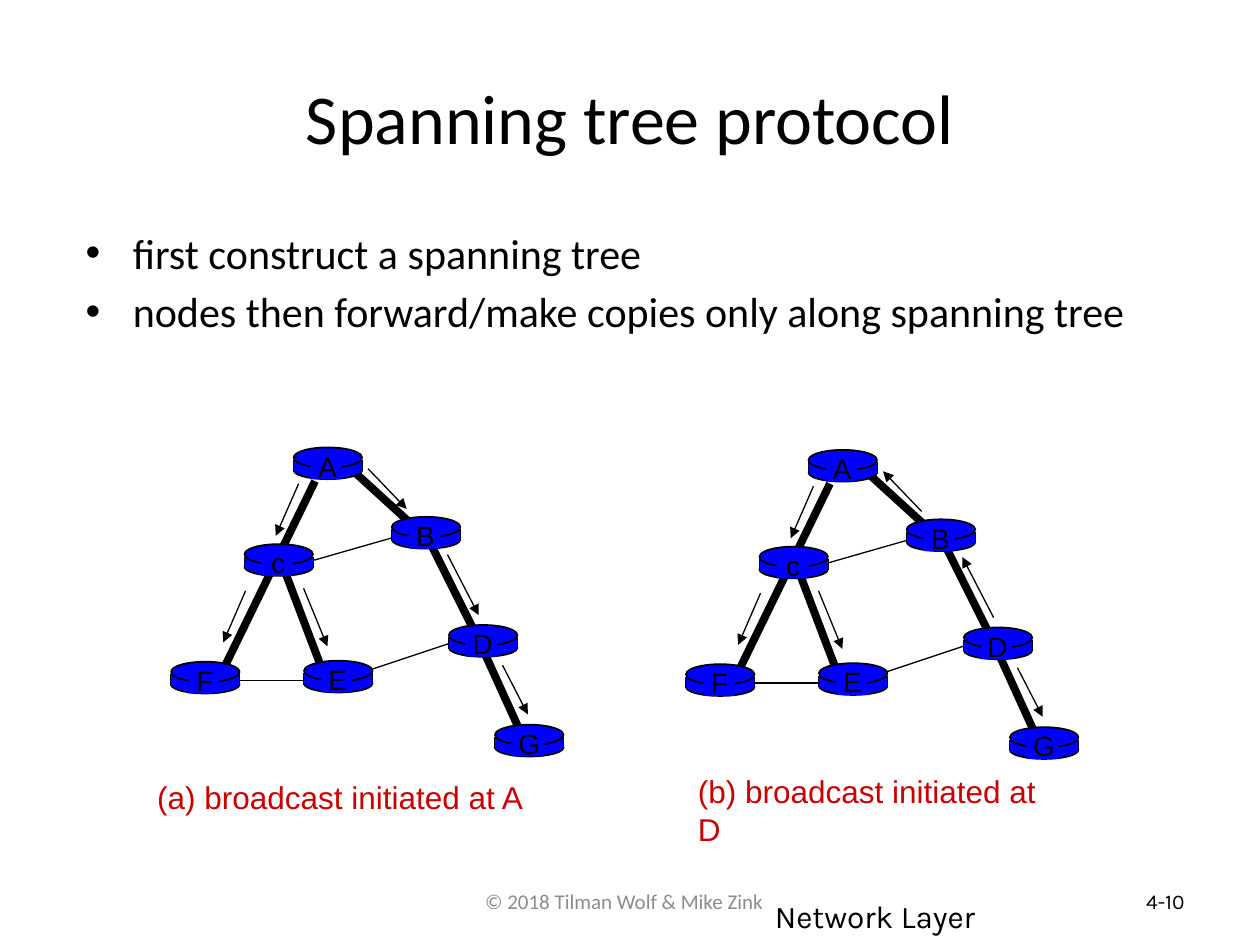
from dataclasses import dataclass

from lxml import etree
from pptx import Presentation
from pptx.dml.color import RGBColor
from pptx.enum.shapes import MSO_CONNECTOR, MSO_SHAPE
from pptx.enum.text import MSO_ANCHOR, PP_ALIGN
from pptx.oxml.ns import qn
from pptx.util import Cm, Pt

LEFT, CENTER, RIGHT = PP_ALIGN.LEFT, PP_ALIGN.CENTER, PP_ALIGN.RIGHT
TOP, MIDDLE = MSO_ANCHOR.TOP, MSO_ANCHOR.MIDDLE
OVAL, RECT = MSO_SHAPE.OVAL, MSO_SHAPE.RECTANGLE
STRAIGHT = MSO_CONNECTOR.STRAIGHT

BLACK, BLUE, RED, GRAY = "000000", "0000FF", "CC0000", "8C8C8C"
TREE_WIDTH, THIN_WIDTH, OUTLINE_WIDTH = 4.5, 0.75, 1
ROUTER_WIDTH = 1.38


# All positions below are in centimetres.
@dataclass(frozen=True)
class Router:
    name: str
    x: float
    y: float


@dataclass(frozen=True)
class Link:
    x1: float
    y1: float
    x2: float
    y2: float
    in_tree: bool = True


@dataclass(frozen=True)
class Message:
    hop: str
    x1: float
    y1: float
    x2: float
    y2: float


@dataclass(frozen=True)
class Broadcast:
    caption: str
    caption_x: float
    caption_y: float
    dx: float = 0
    dy: float = 0
    reversed_hops: tuple[str, ...] = ()


ROUTERS = [
    Router("A", 5.92, 9.02),
    Router("B", 7.9, 10.42),
    Router("G", 9.98, 14.61),
    Router("D", 9.05, 12.6),
    Router("E", 6.13, 13.32),
    Router("c", 4.93, 10.97),
    Router("F", 3.45, 13.34),
]
LINKS = [
    Link(8.61, 10.82, 9.55, 12.7),
    Link(9.58, 12.75, 10.54, 14.86),
    Link(9.12, 12.95, 7.44, 13.51, in_tree=False),
    Link(6.55, 13.72, 4.5, 13.72, in_tree=False),
    Link(6.48, 13.46, 5.72, 11.46),
    Link(6.2, 11.33, 8.05, 10.8, in_tree=False),
    Link(7.16, 9.53, 8.41, 10.67),
    Link(6.35, 9.7, 4.47, 13.56),
]
MESSAGES = [
    Message("A-c", 6.02, 9.75, 5.56, 10.8),
    Message("c-F", 4.95, 11.91, 4.5, 12.95),
    Message("A-B", 7.42, 9.45, 8.2, 10.26),
    Message("B-D", 9.02, 11.18, 9.65, 12.4),
    Message("D-G", 10.13, 13.41, 10.64, 14.4),
    Message("c-E", 6.12, 11.86, 6.6, 13.03),
]
BROADCASTS = [
    Broadcast("(a) broadcast initiated at A", 2.92, 15.55),
    Broadcast("(b) broadcast initiated at D", 13.82, 15.44,
              dx=10.38, dy=0.05, reversed_hops=("A-B", "B-D")),
]


def color(value: str) -> RGBColor:
    return RGBColor.from_string(value)


def style_paragraph(paragraph, size: float, font: str, ink: str, align) -> None:
    paragraph.alignment = align
    paragraph.font.size = Pt(size)
    paragraph.font.name = font
    paragraph.font.color.rgb = color(ink)


def add_text(slide, text: str, x: float, y: float, width: float, height: float,
             size: float, font: str, ink: str = BLACK, align=LEFT,
             anchor=TOP, wrap: bool = False) -> None:
    box = slide.shapes.add_textbox(Cm(x), Cm(y), Cm(width), Cm(height))
    frame = box.text_frame
    frame.word_wrap = wrap
    frame.vertical_anchor = anchor
    frame.text = text
    style_paragraph(frame.paragraphs[0], size, font, ink, align)


def add_line(slide, x1: float, y1: float, x2: float, y2: float,
             width: float, arrow: bool = False) -> None:
    line = slide.shapes.add_connector(STRAIGHT, Cm(x1), Cm(y1), Cm(x2), Cm(y2))
    line.line.color.rgb = color(BLACK)
    line.line.width = Pt(width)
    if arrow:
        etree.SubElement(line.line._get_or_add_ln(), qn("a:tailEnd"), type="triangle")
    etree.SubElement(line._element.spPr, qn("a:effectLst"))


def add_blue_shape(slide, kind, x: float, y: float, width: float, height: float,
                   outlined: bool = False) -> None:
    shape = slide.shapes.add_shape(kind, Cm(x), Cm(y), Cm(width), Cm(height))
    shape.shadow.inherit = False
    shape.fill.solid()
    shape.fill.fore_color.rgb = color(BLUE)
    if outlined:
        shape.line.color.rgb = color(BLACK)
        shape.line.width = Pt(OUTLINE_WIDTH)
    else:
        shape.line.fill.background()


def add_router(slide, name: str, x: float, y: float) -> None:
    # Cylinder: base, sides, wall and lid
    add_blue_shape(slide, OVAL, x, y + 0.28, ROUTER_WIDTH, 0.36, outlined=True)
    for side in (x, x + ROUTER_WIDTH):
        add_line(slide, side, y + 0.25, side, y + 0.48, OUTLINE_WIDTH)
    add_blue_shape(slide, RECT, x, y + 0.25, ROUTER_WIDTH, 0.23)
    add_blue_shape(slide, OVAL, x, y, ROUTER_WIDTH, 0.41, outlined=True)
    # Name on a plain patch
    add_blue_shape(slide, RECT, x + 0.35, y + 0.06, 0.62, 0.58)
    add_text(slide, name, x + 0.22, y - 0.09, 0.92, 0.94, 16, "Arial", align=CENTER)


def add_broadcast(slide, broadcast: Broadcast) -> None:
    dx, dy = broadcast.dx, broadcast.dy
    for link in LINKS:
        add_line(slide, link.x1 + dx, link.y1 + dy, link.x2 + dx, link.y2 + dy,
                 TREE_WIDTH if link.in_tree else THIN_WIDTH)
    for router in ROUTERS:
        add_router(slide, router.name, router.x + dx, router.y + dy)
    for message in MESSAGES:
        start = (message.x1 + dx, message.y1 + dy)
        end = (message.x2 + dx, message.y2 + dy)
        if message.hop in broadcast.reversed_hops:
            start, end = end, start
        add_line(slide, *start, *end, THIN_WIDTH, arrow=True)
    add_text(slide, broadcast.caption, broadcast.caption_x, broadcast.caption_y,
             7.94, 1.02, 18, "Arial", RED)


def fill_placeholder(placeholder, lines: list[str], x: float, y: float,
                     width: float, height: float, size: float, align) -> None:
    placeholder.left, placeholder.top = Cm(x), Cm(y)
    placeholder.width, placeholder.height = Cm(width), Cm(height)
    placeholder.text_frame.text = "\n".join(lines)
    for paragraph in placeholder.text_frame.paragraphs:
        style_paragraph(paragraph, size, "Calibri", BLACK, align)


def main() -> None:
    deck = Presentation()
    deck.slide_width, deck.slide_height = Cm(25.4), Cm(19.05)
    slide = deck.slides.add_slide(deck.slide_layouts[1])

    # Title and list
    title, points = slide.placeholders
    fill_placeholder(title, ["Spanning tree protocol"],
                     1.27, 0.76, 22.86, 3.18, 40, CENTER)
    fill_placeholder(points, ["first construct a spanning tree",
                              "nodes then forward/make copies only along spanning tree"],
                     1.47, 4.45, 21.59, 5.16, 24, LEFT)

    # Footer
    add_text(slide, "© 2018 Tilman Wolf & Mike Zink", 9.53, 17.78, 6.2, 1.27,
             12, "Calibri", GRAY)
    add_text(slide, "Network Layer", 15.37, 17.96, 8.05, 0.79, 18, "Karla", wrap=True)
    add_text(slide, "4-10", 18.21, 17.65, 5.92, 1.02, 12, "Karla",
             align=RIGHT, anchor=MIDDLE, wrap=True)

    # Broadcast graphs
    for broadcast in BROADCASTS:
        add_broadcast(slide, broadcast)

    deck.save("out.pptx")


if __name__ == "__main__":
    main()
